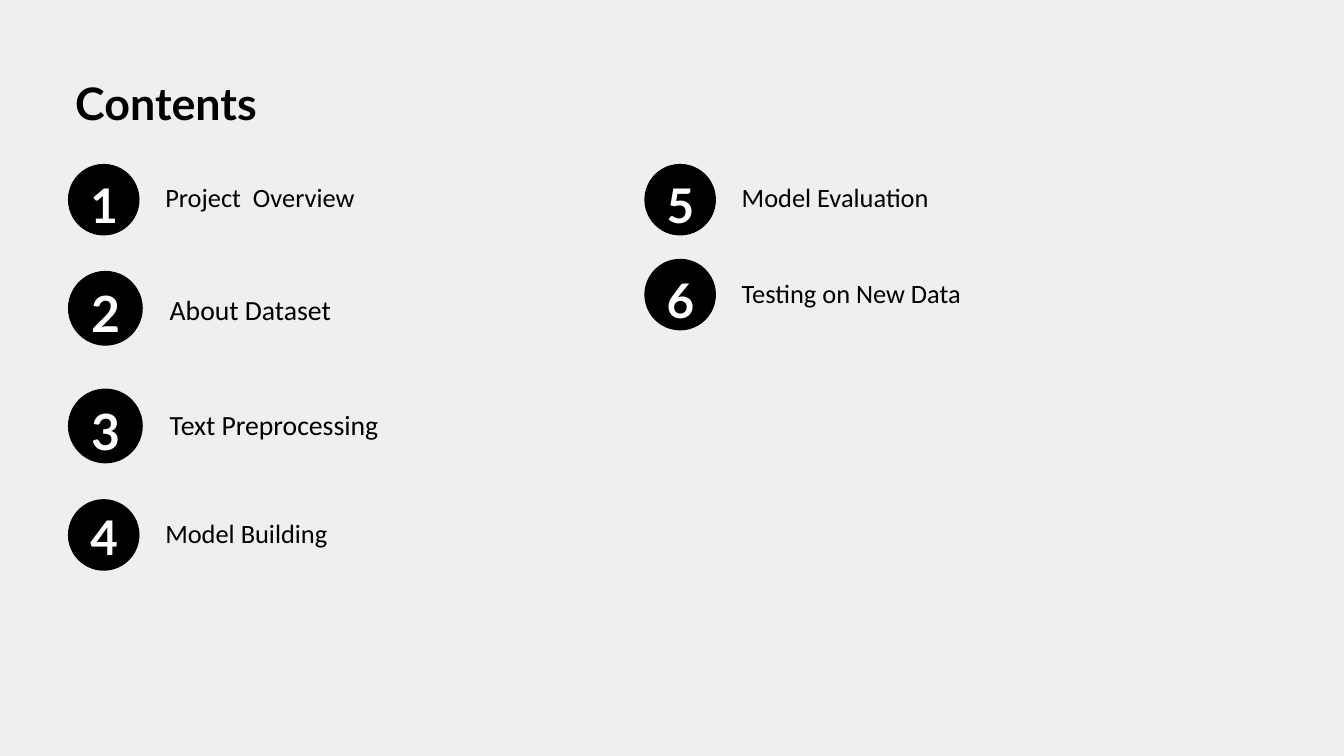
from dataclasses import dataclass

from pptx import Presentation
from pptx.dml.color import RGBColor
from pptx.enum.shapes import MSO_SHAPE
from pptx.enum.text import PP_ALIGN
from pptx.util import Pt

OVAL = MSO_SHAPE.OVAL
LEFT, CENTER = PP_ALIGN.LEFT, PP_ALIGN.CENTER


@dataclass(frozen=True)
class Theme:
    """Colours, fonts and type sizes; entry sizes are shares of the disc."""
    background: RGBColor = RGBColor(0xEF, 0xEF, 0xEE)
    ink: RGBColor = RGBColor(0, 0, 0)
    paper: RGBColor = RGBColor(0xFF, 0xFF, 0xFF)
    heading_font: str = "Lato"
    body_font: str = "Calibri"
    title_size: float = 48
    number_share: float = 0.667
    label_share: float = 0.37


@dataclass(frozen=True)
class Entry:
    """One contents entry: disc position and diameter, and text offsets."""
    label: str
    left: float
    top: float
    disc: float = 76.7
    number_drop: float = 2.2
    label_drop: float = 18.7


THEME = Theme()
FIRST_COLUMN, SECOND_COLUMN = 72.8, 690.4
LARGE_DISC = 80.2
ENTRIES = [
    Entry("Project  Overview", FIRST_COLUMN, 175.6),
    Entry("About Dataset", FIRST_COLUMN, 290.2, LARGE_DISC, label_drop=23),
    Entry("Text Preprocessing", FIRST_COLUMN, 416.3, LARGE_DISC, label_drop=20.8),
    Entry("Model Building", FIRST_COLUMN, 534.8, number_drop=-0.6),
    Entry("Model Evaluation", SECOND_COLUMN, 175.6),
    Entry("Testing on New Data", SECOND_COLUMN, 277.3, label_drop=19.2),
]


def add_text(shapes, text, box, font_name, size, color, leading, bold=False, align=LEFT):
    """Place one line of text without insets in a box given in points."""
    frame = shapes.add_textbox(*map(Pt, box)).text_frame
    frame.word_wrap = True
    frame.margin_left = frame.margin_top = frame.margin_right = frame.margin_bottom = 0
    frame.text = text
    paragraph = frame.paragraphs[0]
    paragraph.alignment = align
    paragraph.line_spacing = Pt(size * leading)
    font = paragraph.runs[0].font
    font.name, font.size, font.bold = font_name, Pt(size), bold
    font.color.rgb = color


def add_title(slide, box):
    """Place the slide title in its box."""
    add_text(slide.shapes, "Contents", box, THEME.heading_font,
             THEME.title_size, THEME.ink, 1.18, bold=True)


def add_entry(slide, number, entry):
    """Group a numbered disc with its label, scaled to the disc."""
    shapes = slide.shapes.add_group_shape().shapes
    left, top, size = entry.left, entry.top, entry.disc

    disc = shapes.add_shape(OVAL, Pt(left), Pt(top), Pt(size), Pt(size))
    disc.shadow.inherit = False
    disc.fill.solid()
    disc.fill.fore_color.rgb = THEME.ink
    disc.line.fill.background()

    number_box = (left + 0.19 * size, top + entry.number_drop, 0.63 * size, 0.87 * size)
    add_text(shapes, str(number), number_box, THEME.heading_font,
             THEME.number_share * size, THEME.paper, 1.4, bold=True, align=CENTER)

    label_box = (left + 1.36 * size, top + entry.label_drop, 5.84 * size, 0.46 * size)
    add_text(shapes, entry.label, label_box, THEME.body_font,
             THEME.label_share * size, THEME.ink, 1.2)


def main():
    """Build the contents slide and save it."""
    deck = Presentation()
    deck.slide_width, deck.slide_height = Pt(1440), Pt(810)
    slide = deck.slides.add_slide(deck.slide_layouts[6])
    slide.background.fill.solid()
    slide.background.fill.fore_color.rgb = THEME.background

    add_title(slide, (80.6, 82.1, 543.6, 56.2))
    for number, entry in enumerate(ENTRIES, 1):
        add_entry(slide, number, entry)
    deck.save("out.pptx")


if __name__ == "__main__":
    main()
